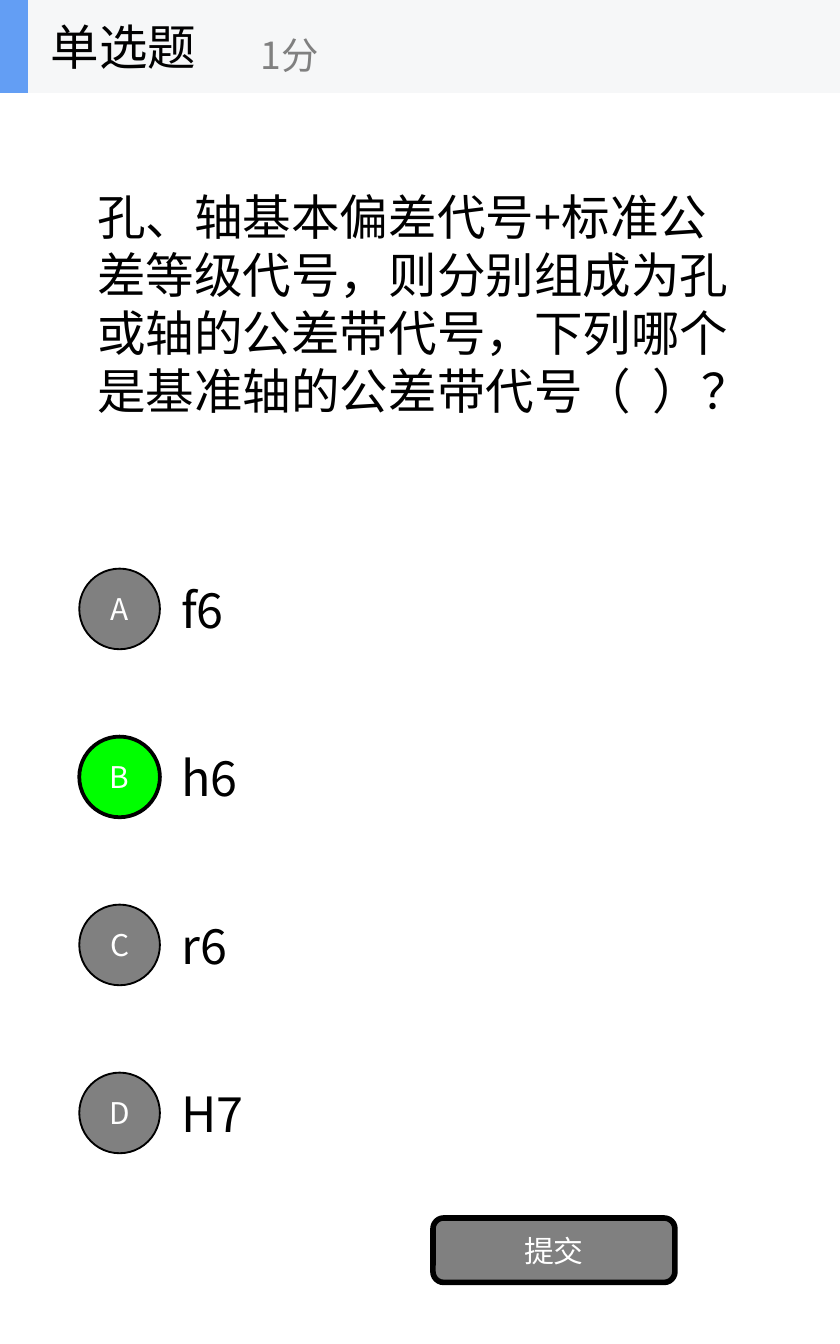
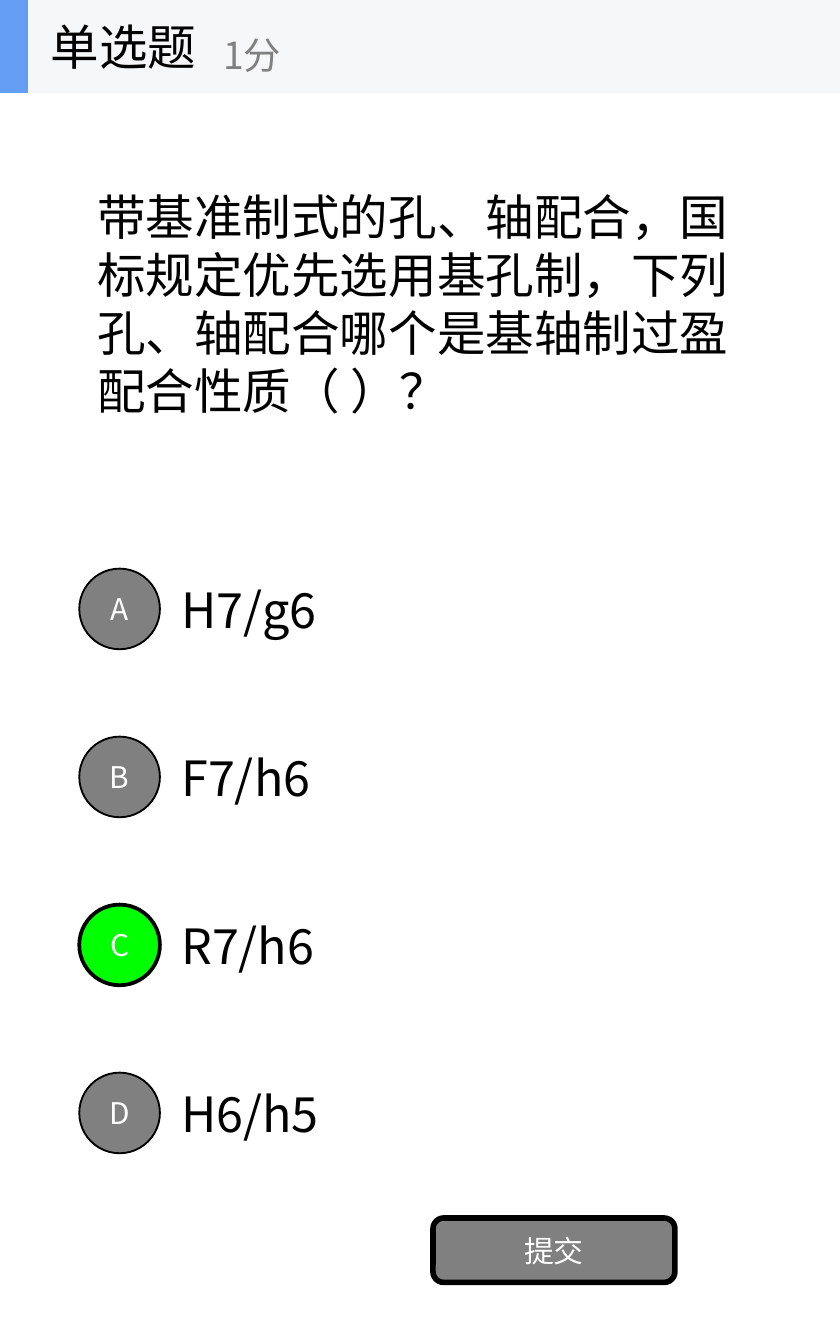
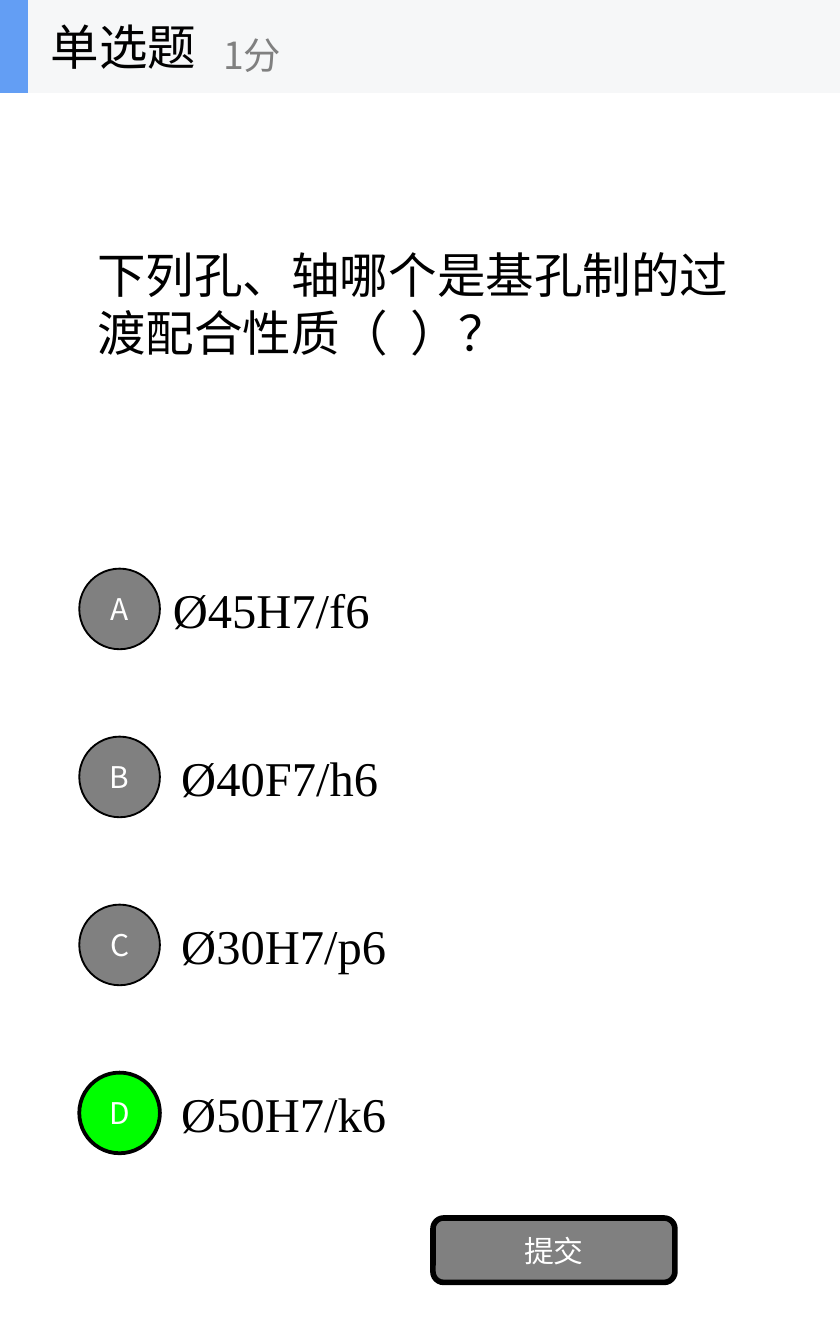
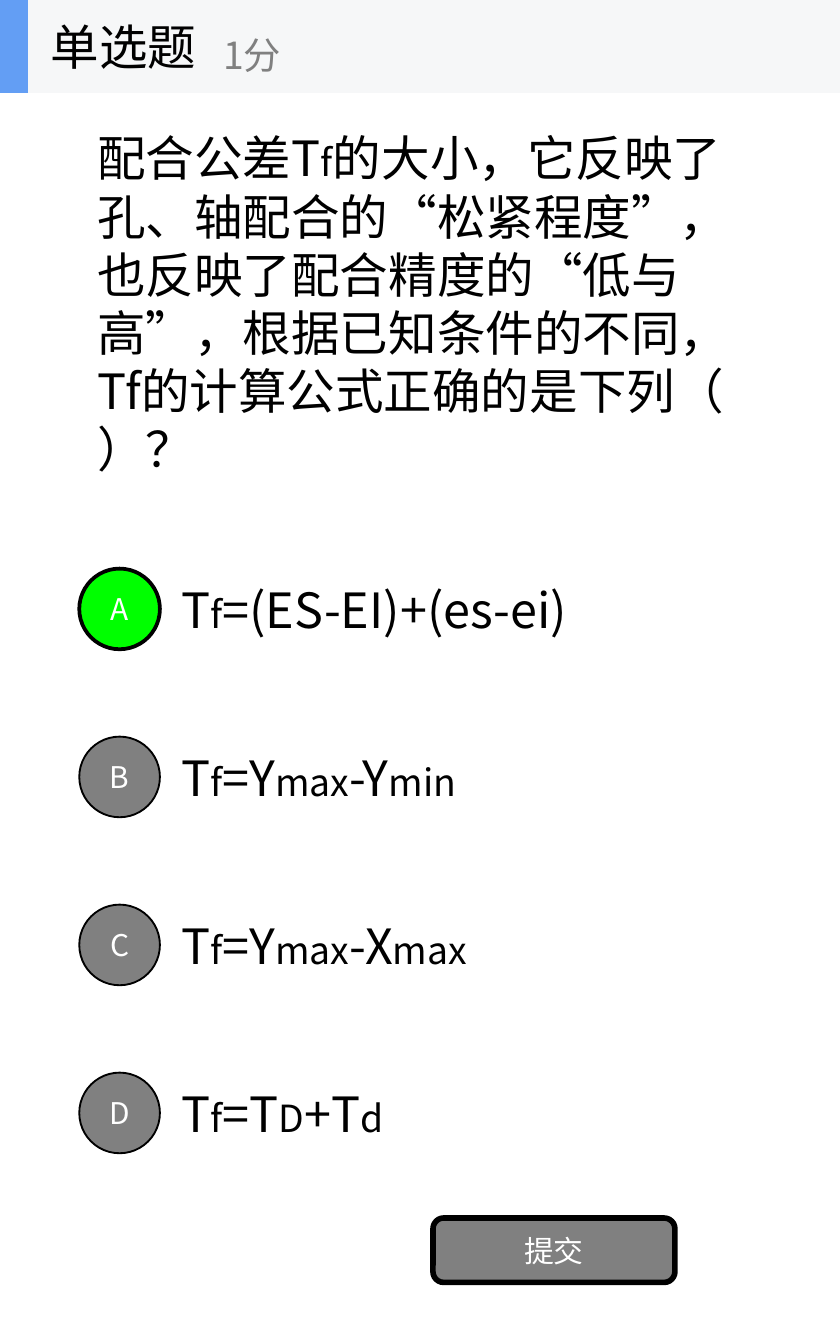
from lxml import etree
from pptx import Presentation
from pptx.dml.color import RGBColor
from pptx.enum import shapes, text
from pptx.oxml import ns
from pptx.util import Pt

SANS, SERIF = "Noto Sans CJK SC", "Times New Roman"
BLACK = RGBColor(0x00, 0x00, 0x00)
WHITE = RGBColor(0xFF, 0xFF, 0xFF)
GRAY = RGBColor(0x80, 0x80, 0x80)
GREEN = RGBColor(0x00, 0xFF, 0x00)
BAND = RGBColor(0xF6, 0xF7, 0xF8)
ACCENT = RGBColor(0x63, 0x9E, 0xF4)

BODY, SMALL, LABEL = 26, 20, 16
SLIDE_W, SLIDE_H, BAND_H = 450, 720, 49.8
OPTION_X, OPTION_Y, OPTION_W, OPTION_H, OPTION_STEP = 90, 292.5, 315, 67.5, 90
CIRCLE_X, CIRCLE = 42.5, 43.2
SCORE_X = 112.5

# A list alternates between body-size and small runs.
QUESTIONS = [
    {
        "question": "孔、轴基本偏差代号+标准公差等级代号，则分别组成为孔或轴的公差带代号，下列哪个是基准轴的公差带代号（  ）？",
        "options": ["f6", "h6", "r6", "H7"],
        "answer": "B",
        "score_x": 132.5,
    },
    {
        "question": "带基准制式的孔、轴配合，国标规定优先选用基孔制，下列孔、轴配合哪个是基轴制过盈配合性质（ ）？",
        "options": ["H7/g6", "F7/h6", "R7/h6", "H6/h5"],
        "answer": "C",
    },
    {
        "question": "下列孔、轴哪个是基孔制的过渡配合性质（  ）？",
        "options": ["Ø45H7/f6", "Ø40F7/h6", "Ø30H7/p6", "Ø50H7/k6"],
        "answer": "D",
        "font": SERIF,
        "first_option_x": 85.5,
    },
    {
        "question": ["配合公差T", "f", "的大小，它反映了孔、轴配合的“松紧程度”，也反映了配合精度的“低与高”，根据已知条件的不同，Tf的计算公式正确的是下列（  ）？"],
        "options": [
            ["T", "f", "=(ES-EI)+(es-ei)"],
            ["T", "f", "=Y", "max", "-Y", "min"],
            ["T", "f", "=Y", "max", "-X", "max"],
            ["T", "f", "=T", "D", "+T", "d"],
        ],
        "answer": "A",
    },
]


def write(sp, content, size=BODY, color=BLACK, font=SANS, wrap=True):
    tf = sp.text_frame
    tf.word_wrap = wrap
    tf.vertical_anchor = text.MSO_ANCHOR.MIDDLE
    p = tf.paragraphs[0]
    for i, part in enumerate([content] if isinstance(content, str) else content):
        r = p.add_run()
        r.text = part
        r.font.size = Pt(SMALL if i % 2 else size)
        r.font.name = font
        r.font.color.rgb = color
        ea = etree.SubElement(r.font._element, ns.qn("a:ea"))
        ea.set("typeface", font)
    return p


def add_text(parent, box, content, **style):
    write(parent.shapes.add_textbox(*map(Pt, box)), content, **style)


def add_block(parent, kind, box, fill, line=0, label=None):
    sp = parent.shapes.add_shape(kind, *map(Pt, box))
    sp.shadow.inherit = False
    sp.fill.solid()
    sp.fill.fore_color.rgb = fill
    if line:
        sp.line.color.rgb = BLACK
        sp.line.width = Pt(line)
    else:
        sp.line.fill.background()
    if label:
        tf = sp.text_frame
        tf.margin_left = tf.margin_right = tf.margin_top = tf.margin_bottom = 0
        write(sp, label, LABEL, WHITE).alignment = text.PP_ALIGN.CENTER


def add_header(s, score_x):
    header = s.shapes.add_group_shape()
    rect = shapes.MSO_SHAPE.RECTANGLE
    add_block(header, rect, (0, 0, SLIDE_W, BAND_H), BAND)
    add_block(header, rect, (0, 0, 15, BAND_H), ACCENT)
    add_text(header, (20, 0, 150, BAND_H), "单选题", wrap=False)
    add_text(header, (score_x, 9, 180, 40.5), "1分", size=SMALL, color=GRAY, wrap=False)


def add_question(prs, q):
    s = prs.slides.add_slide(prs.slide_layouts[6])
    add_text(s, (45, BAND_H, 360, 225), q["question"])
    rows = [OPTION_Y + i * OPTION_STEP for i in range(len(q["options"]))]
    for i, (y, option) in enumerate(zip(rows, q["options"])):
        x = OPTION_X if i else q.get("first_option_x", OPTION_X)
        add_text(s, (x, y, OPTION_W, OPTION_H), option, font=q.get("font", SANS))
    for y, letter in zip(rows, "ABCD"):
        fill, line = (GREEN, 2) if letter == q["answer"] else (GRAY, 1)
        top = y + (OPTION_H - CIRCLE) / 2
        add_block(s, shapes.MSO_SHAPE.OVAL, (CIRCLE_X, top, CIRCLE, CIRCLE), fill, line, letter)
    add_block(s, shapes.MSO_SHAPE.ROUNDED_RECTANGLE, (232, 652.5, 129.6, 34.5), GRAY, 3, "提交")
    add_header(s, q.get("score_x", SCORE_X))


def main():
    prs = Presentation()
    prs.slide_width, prs.slide_height = Pt(SLIDE_W), Pt(SLIDE_H)
    for q in QUESTIONS:
        add_question(prs, q)
    prs.save("out.pptx")


if __name__ == "__main__":
    main()
